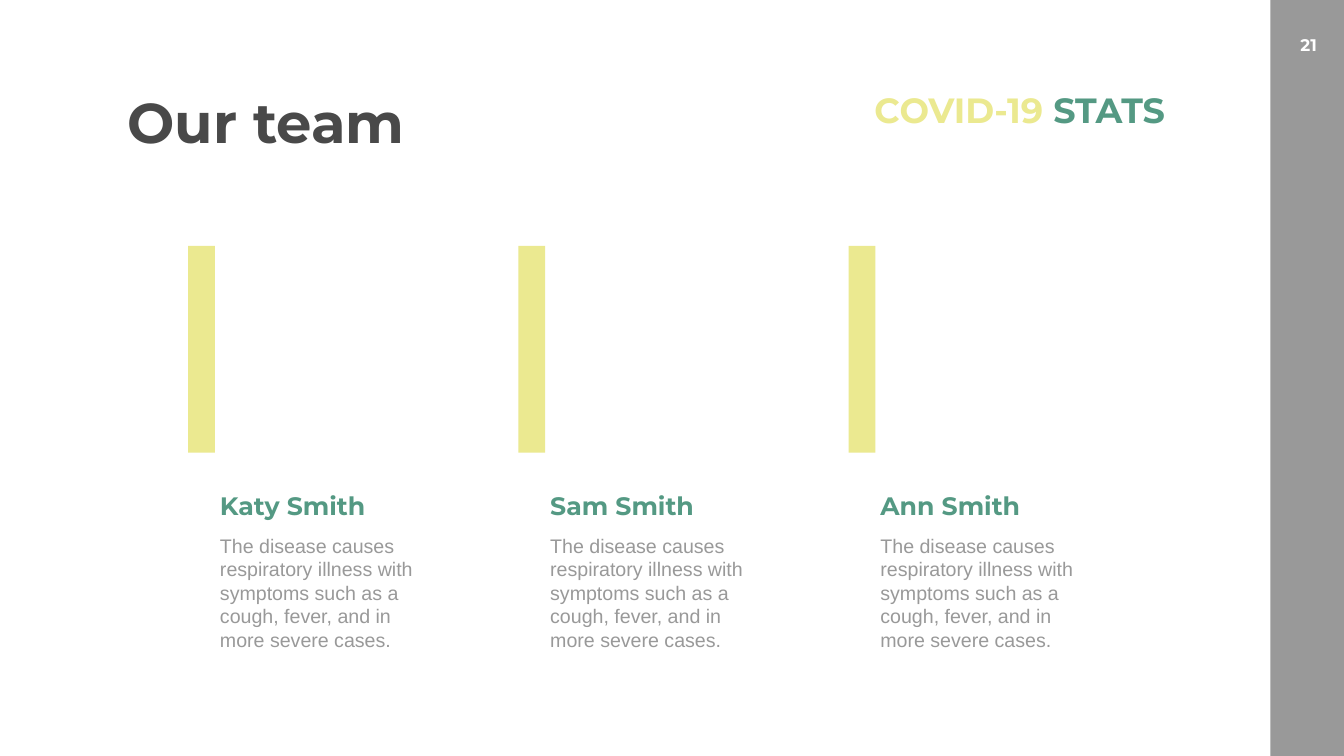
from dataclasses import dataclass

from pptx import Presentation
from pptx.dml.color import RGBColor
from pptx.enum.shapes import MSO_SHAPE as Shape
from pptx.enum.text import MSO_AUTO_SIZE as Fit, PP_ALIGN as Align
from pptx.util import Inches, Pt

WIDE, HIGH = Inches(26.66), Inches(15)
LIME, GREEN, GREY, DARK, WHITE = "EBE990", "549983", "999999", "494949", "FFFFFF"
HEAD, BODY = "Montserrat", "Arial"
TEAM = ("Katy Smith", "Sam Smith", "Ann Smith")
ABOUT = ("The disease causes respiratory illness with symptoms such as a "
         "cough, fever, and in more severe cases.")
START, STEP, BAR = 14, 24.57, 2  # team columns, percent of slide width


@dataclass
class Box:
    """Place and size in percent of the slide's width and height."""
    left: float
    top: float
    width: float
    height: float

    def place(self) -> tuple[int, int, int, int]:
        return (int(WIDE * self.left / 100), int(HIGH * self.top / 100),
                int(WIDE * self.width / 100), int(HIGH * self.height / 100))


@dataclass
class Run:
    text: str
    size: float
    tint: str
    face: str = HEAD
    bold: bool = True


def color(tint: str) -> RGBColor:
    return RGBColor.from_string(tint)


def add_bar(slide, box: Box, tint: str) -> None:
    bar = slide.shapes.add_shape(Shape.RECTANGLE, *box.place())
    bar.shadow.inherit = False
    bar.fill.solid()
    bar.fill.fore_color.rgb = color(tint)
    bar.line.fill.background()


def add_text(slide, box: Box, *runs: Run, align: Align = Align.LEFT,
             pad: float = 0.05) -> None:
    frame = slide.shapes.add_textbox(*box.place()).text_frame
    frame.word_wrap = True
    frame.auto_size = Fit.SHAPE_TO_FIT_TEXT
    frame.margin_left = frame.margin_right = Inches(2 * pad)
    frame.margin_top = frame.margin_bottom = Inches(pad)
    para = frame.paragraphs[0]
    para.alignment = align
    for item in runs:
        run = para.add_run()
        run.text = item.text
        font = run.font
        font.name, font.size, font.bold = item.face, Pt(item.size), item.bold
        font.color.rgb = color(item.tint)


def main() -> None:
    deck = Presentation()
    deck.slide_width, deck.slide_height = WIDE, HIGH
    slide = deck.slides.add_slide(deck.slide_layouts[6])

    # Side band with page number
    add_bar(slide, Box(94.52, 0, 5.48, 100), GREY)
    add_text(slide, Box(95.44, 3.93, 3.86, 4.07), Run("21", 24, WHITE),
             align=Align.CENTER, pad=0.1)

    # Title and header
    add_text(slide, Box(9.11, 11.27, 21.72, 9.67), Run("Our team", 80, DARK))
    add_text(slide, Box(64.07, 11.33, 22.99, 6.27),
             Run("COVID-19 ", 50, LIME), Run("STATS", 50, GREEN),
             align=Align.RIGHT)

    # Team columns
    for col, name in enumerate(TEAM):
        left = START + col * STEP
        add_text(slide, Box(left + BAR, 64.53, 18.87, 4.73),
                 Run(name, 36, GREEN))
        add_text(slide, Box(left + BAR, 70.27, 17, 16.4),
                 Run(ABOUT, 28, GREY, BODY, False))
        add_bar(slide, Box(left, 32.53, BAR, 27.33), LIME)

    deck.save("out.pptx")


if __name__ == "__main__":
    main()
